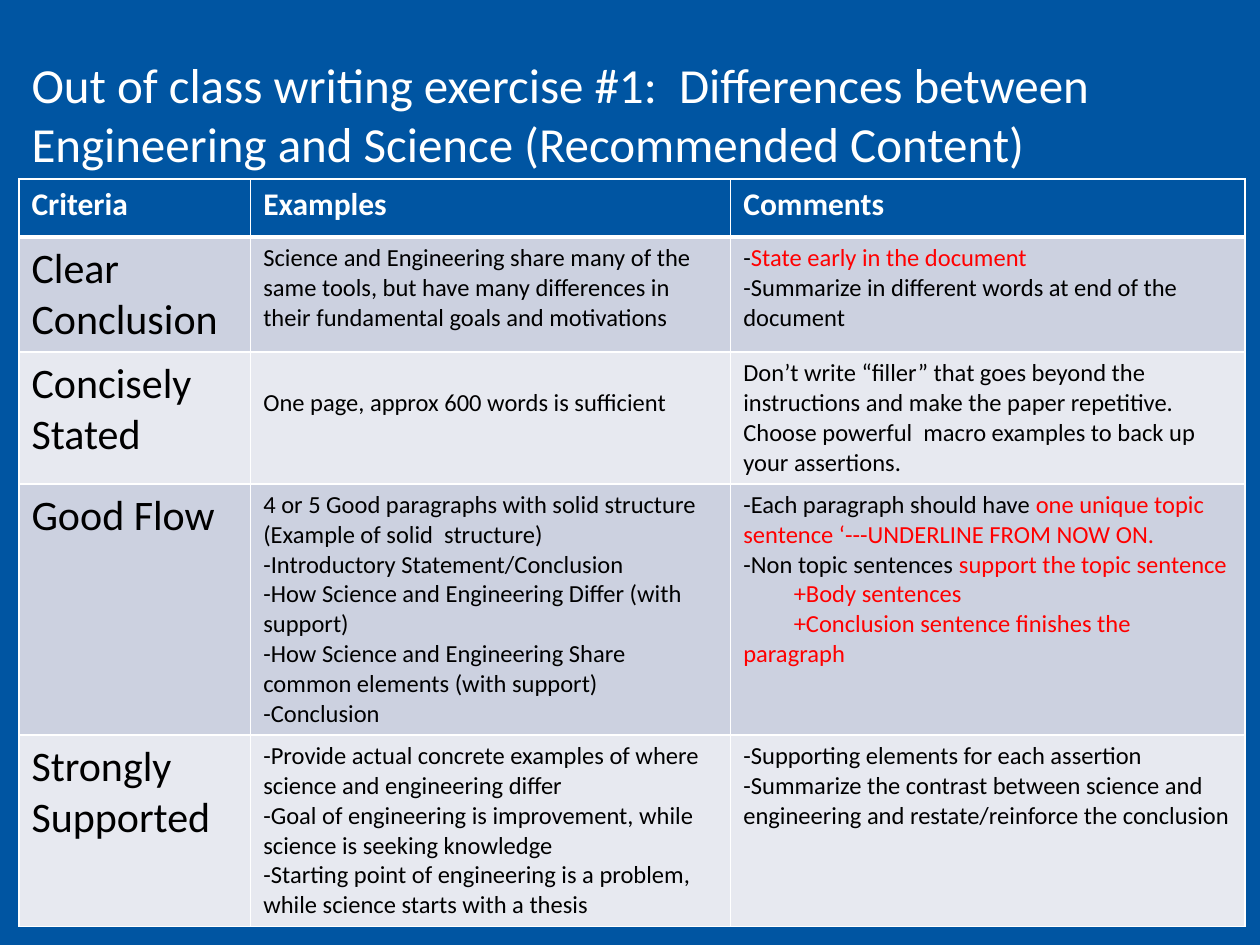
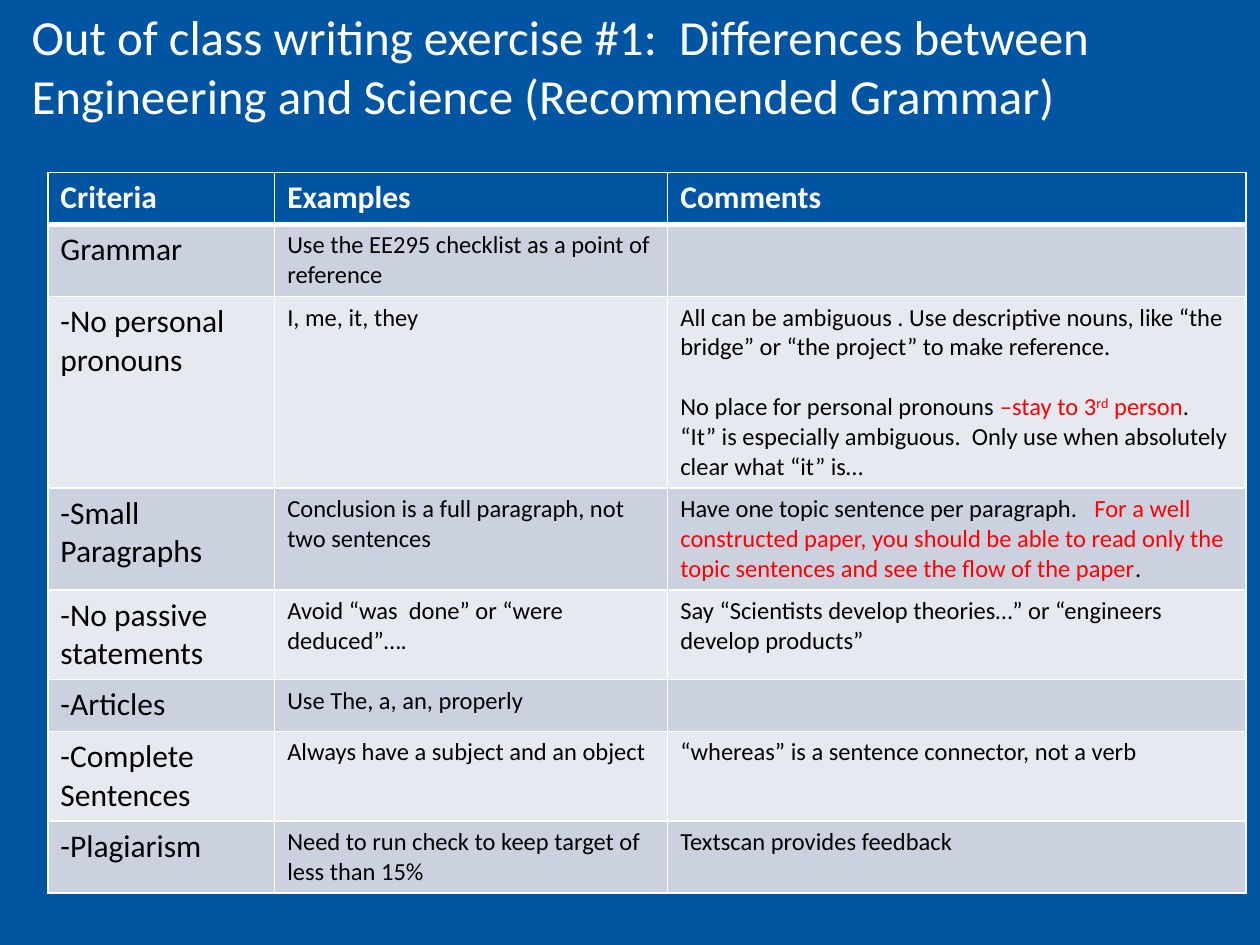
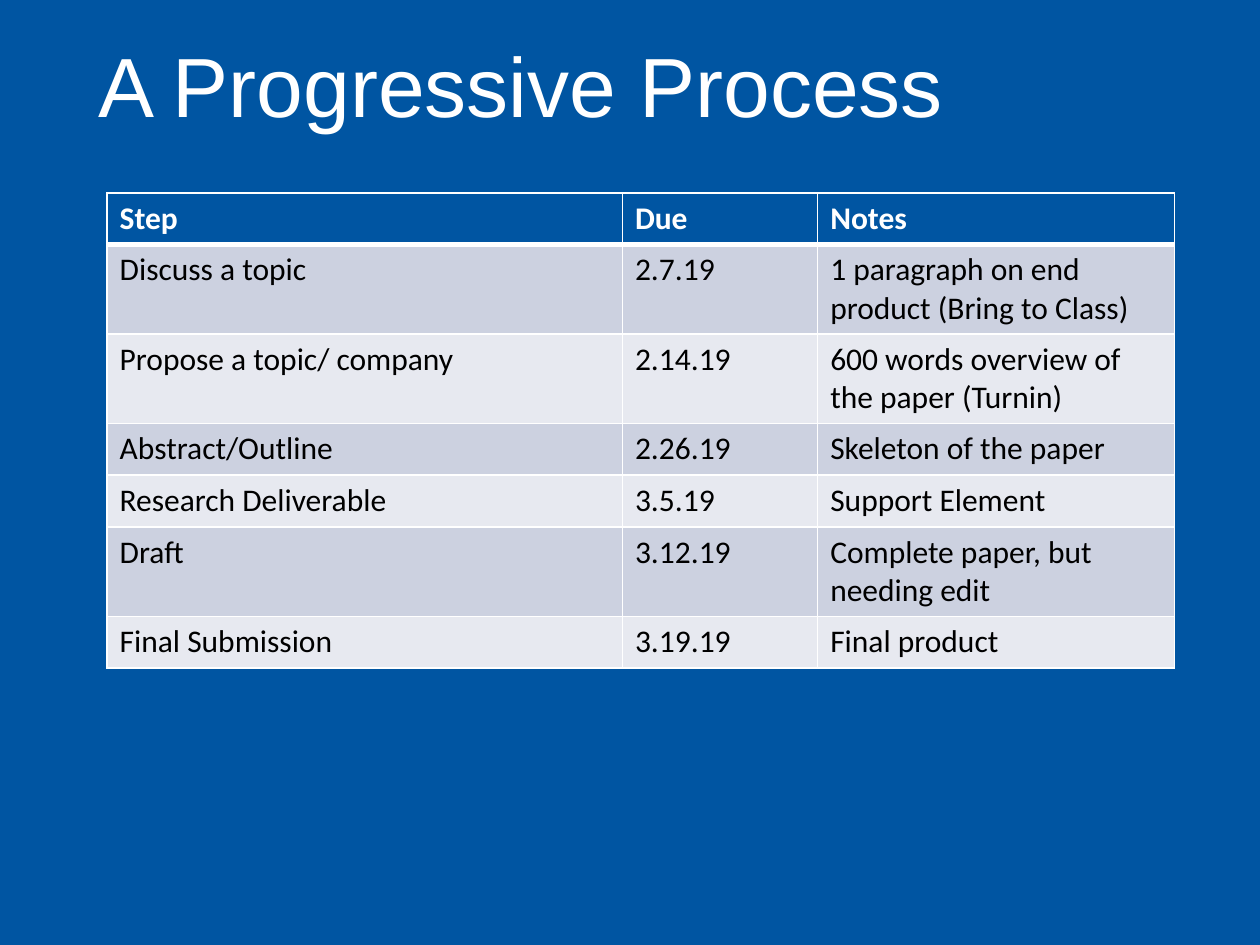
"""Build three slides of tables about a writing exercise and its schedule."""
from dataclasses import dataclass

from lxml.etree import SubElement
from pptx import Presentation
from pptx.dml.color import RGBColor
from pptx.enum.text import MSO_ANCHOR, MSO_AUTO_SIZE, PP_ALIGN
from pptx.oxml.ns import qn
from pptx.util import Inches, Pt


@dataclass(frozen=True)
class Theme:
    blue: RGBColor = RGBColor(0x00, 0x55, 0xA2)
    white: RGBColor = RGBColor(0xFF, 0xFF, 0xFF)
    black: RGBColor = RGBColor(0x00, 0x00, 0x00)
    red: RGBColor = RGBColor(0xFF, 0x00, 0x00)
    bands: tuple = (RGBColor(0xE7, 0xE9, 0xF0), RGBColor(0xCC, 0xD1, 0xE0))
    font: str = "Calibri"
    display_font: str = "Arial"
    display_size: int = 48
    title_size: int = 28
    large: int = 24
    medium: int = 18
    small: int = 14
    thin_line: int = 1
    header_line: int = 3


theme = Theme()


def set_borders(cell, top_width, bottom_width):
    """Draw white borders on all four sides of a cell."""
    widths = {"lnL": theme.thin_line, "lnR": theme.thin_line, "lnT": top_width, "lnB": bottom_width}
    properties = cell._tc.get_or_add_tcPr()
    for side, width in widths.items():
        line = SubElement(properties, qn(f"a:{side}"), w=str(Pt(width)))
        fill = SubElement(line, qn("a:solidFill"))
        SubElement(fill, qn("a:srgbClr"), val=str(theme.white))


def write_paragraph(paragraph, text, size, color, bold):
    """Write text in which *stars* mark red and ^carets^ mark superscript."""
    if text.startswith("*+"):
        paragraph._p.get_or_add_pPr().set("indent", str(Inches(0.4)))
    for color_index, colored in enumerate(text.split("*")):
        for raise_index, part in enumerate(colored.split("^")):
            if not part:
                continue
            run = paragraph.add_run()
            run.text = part
            run.font.name = theme.font
            run.font.size = Pt(size)
            run.font.bold = bold
            run.font.color.rgb = theme.red if color_index % 2 else color
            if raise_index % 2:
                run._r.get_or_add_rPr().set("baseline", "30000")


exercise = "Out of class writing exercise #1:  Differences between Engineering and Science"

content_rows = [
    ["Criteria", "Examples", "Comments"],
    ["Clear Conclusion",
     "Science and Engineering share many of the same tools, but have many differences in "
     "their fundamental goals and motivations",
     ["-*State early in the document*",
      "-Summarize in different words at end of the document"]],
    ["Concisely Stated",
     "One page, approx 600 words is sufficient",
     "Don’t write “filler” that goes beyond the instructions and make the paper repetitive. "
     "Choose powerful  macro examples to back up your assertions."],
    ["Good Flow",
     ["4 or 5 Good paragraphs with solid structure (Example of solid  structure)",
      "-Introductory Statement/Conclusion",
      "-How Science and Engineering Differ (with support)",
      "-How Science and Engineering Share common elements (with support)",
      "-Conclusion"],
     ["-Each paragraph should have *one unique topic sentence ‘---UNDERLINE FROM NOW ON.*",
      "-Non topic sentences *support the topic sentence*",
      "*+Body sentences*",
      "*+Conclusion sentence finishes the paragraph*"]],
    ["Strongly Supported",
     ["-Provide actual concrete examples of where science and engineering differ",
      "-Goal of engineering is improvement, while science is seeking knowledge",
      "-Starting point of engineering is a problem, while science starts with a thesis"],
     ["-Supporting elements for each assertion",
      "-Summarize the contrast between science and engineering and restate/reinforce "
      "the conclusion"]],
]

grammar_rows = [
    ["Criteria", "Examples", "Comments"],
    ["Grammar", "Use the EE295 checklist as a point of reference", ""],
    ["-No personal pronouns",
     "I, me, it, they",
     ["All can be ambiguous . Use descriptive nouns, like “the bridge” or “the project” "
      "to make reference.",
      "No place for personal pronouns *–stay to 3^rd^ person*.",
      "“It” is especially ambiguous.  Only use when absolutely clear what “it” is…"]],
    ["-Small Paragraphs",
     "Conclusion is a full paragraph, not two sentences",
     "Have one topic sentence per paragraph.   *For a well constructed paper, you should be "
     "able to read only the topic sentences and see the flow of the paper*."],
    ["-No passive statements",
     "Avoid “was  done” or “were deduced”….",
     "Say “Scientists develop theories…” or “engineers develop products”"],
    ["-Articles", "Use The, a, an, properly", ""],
    ["-Complete Sentences",
     "Always have a subject and an object",
     "“whereas” is a sentence connector, not a verb"],
    ["-Plagiarism",
     "Need to run check to keep target of less than 15%",
     "Textscan provides feedback"],
]

schedule_rows = [
    ["Step", "Due", "Notes"],
    ["Discuss a topic", "2.7.19", "1 paragraph on end product (Bring to Class)"],
    ["Propose a topic/ company", "2.14.19", "600 words overview of the paper (Turnin)"],
    ["Abstract/Outline", "2.26.19", "Skeleton of the paper"],
    ["Research Deliverable", "3.5.19", "Support Element"],
    ["Draft", "3.12.19", "Complete paper, but needing edit"],
    ["Final Submission", "3.19.19", "Final product"],
]

exercise_title = dict(font=theme.font, size=theme.title_size, anchor=MSO_ANCHOR.TOP, spacing=1.0)
display_title = dict(font=theme.display_font, size=theme.display_size,
                     anchor=MSO_ANCHOR.MIDDLE, spacing=0.9)

pages = [
    dict(title=f"{exercise} (Recommended Content)", style=exercise_title,
         title_box=(0.15, 0.38, 9.65, 1.04), corner=(0.15, 1.42), rows=content_rows,
         widths=(1.84, 3.81, 4.08), heights=(0.46, 0.9, 1.04, 1.97, 1.49),
         sizes=(theme.large, theme.small, theme.small)),
    dict(title=f"{exercise} (Recommended Grammar)", style=exercise_title,
         title_box=(0.15, 0, 9.65, 1.04), corner=(0.38, 1.37), rows=grammar_rows,
         widths=(1.8, 3.12, 4.59), heights=(0.41, 0.57, 1.5, 0.8, 0.7, 0.41, 0.7, 0.57),
         sizes=(theme.medium, theme.small, theme.small)),
    dict(title="A Progressive Process", style=display_title,
         title_box=(0.68, 0.23, 8.62, 0.97), corner=(0.85, 1.53), rows=schedule_rows,
         widths=(4.09, 1.55, 2.83), heights=(0.41, 0.71, 0.71, 0.41, 0.41, 0.71, 0.41),
         sizes=(theme.medium,) * 3),
]

presentation = Presentation()
presentation.slide_width = Inches(10)
presentation.slide_height = Inches(7.5)
background = presentation.slide_master.background.fill
background.solid()
background.fore_color.rgb = theme.blue

tables = []
for page in pages:
    slide = presentation.slides.add_slide(presentation.slide_layouts[5])
    title = slide.shapes.title
    title.left, title.top, title.width, title.height = map(Inches, page["title_box"])
    style = page["style"]
    title.text_frame.text = page["title"]
    title.text_frame.word_wrap = True
    title.text_frame.auto_size = MSO_AUTO_SIZE.NONE
    title.text_frame.vertical_anchor = style["anchor"]
    paragraph = title.text_frame.paragraphs[0]
    paragraph.alignment = PP_ALIGN.LEFT
    paragraph.line_spacing = style["spacing"]
    font = paragraph.runs[0].font
    font.name = style["font"]
    font.size = Pt(style["size"])
    font.color.rgb = theme.white

    rows, widths, heights = page["rows"], page["widths"], page["heights"]
    left, top = page["corner"]
    table = slide.shapes.add_table(len(rows), len(widths), Inches(left), Inches(top),
                                   Inches(sum(widths)), Inches(sum(heights))).table
    tables.append(table)
    for column, width in zip(table.columns, widths):
        column.width = Inches(width)
    for row_index, (row, height) in enumerate(zip(rows, heights)):
        table.rows[row_index].height = Inches(height)
        is_header = row_index == 0
        for column_index, content in enumerate(row):
            cell = table.cell(row_index, column_index)
            set_borders(cell,
                        theme.header_line if row_index == 1 else theme.thin_line,
                        theme.header_line if is_header else theme.thin_line)
            cell.fill.solid()
            cell.fill.fore_color.rgb = theme.blue if is_header else theme.bands[row_index % 2]
            size = theme.medium if is_header else page["sizes"][column_index]
            color = theme.white if is_header else theme.black
            lines = [content] if isinstance(content, str) else content
            for line_index, line in enumerate(lines):
                frame = cell.text_frame
                paragraph = frame.add_paragraph() if line_index else frame.paragraphs[0]
                write_paragraph(paragraph, line, size, color, is_header)

content_table, grammar_table, schedule_table = tables
content_table.cell(2, 1).margin_top = Inches(0.29)
grammar_table.cell(2, 2).text_frame.paragraphs[1].space_before = Pt(17)

presentation.save("out.pptx")
